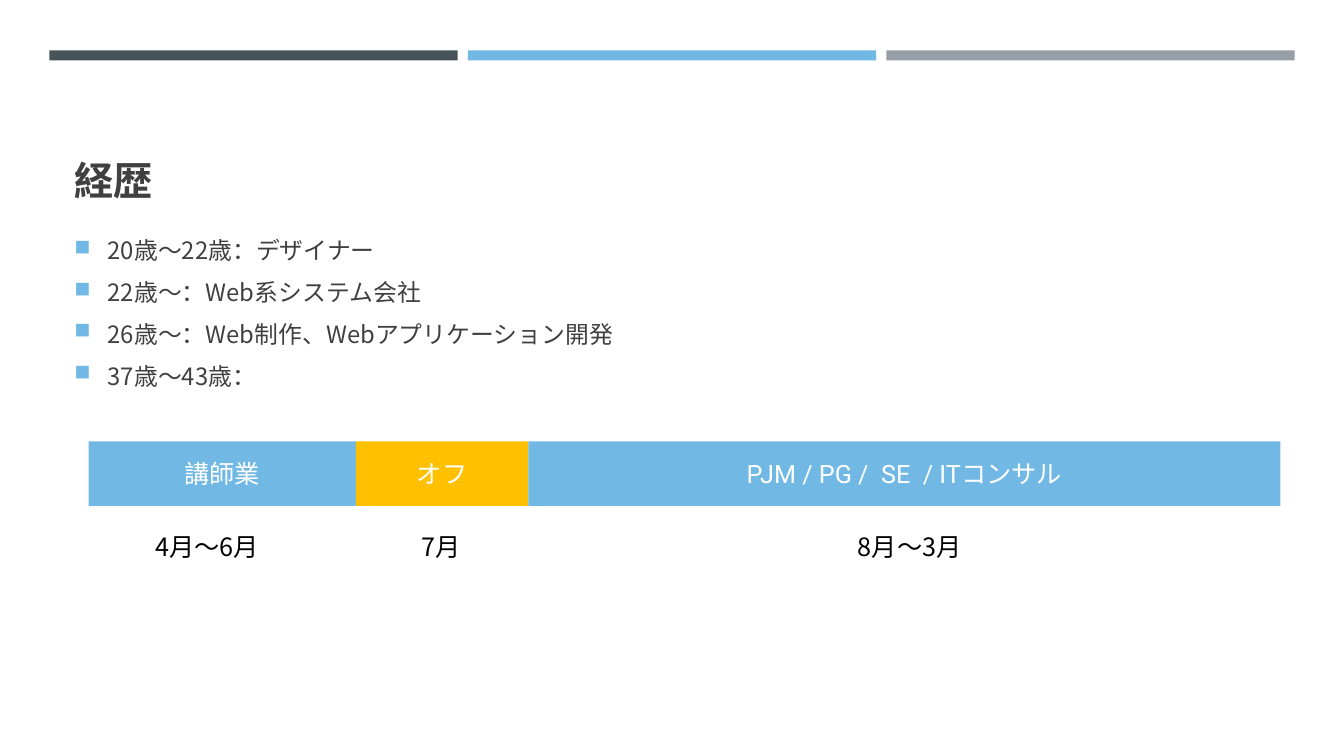
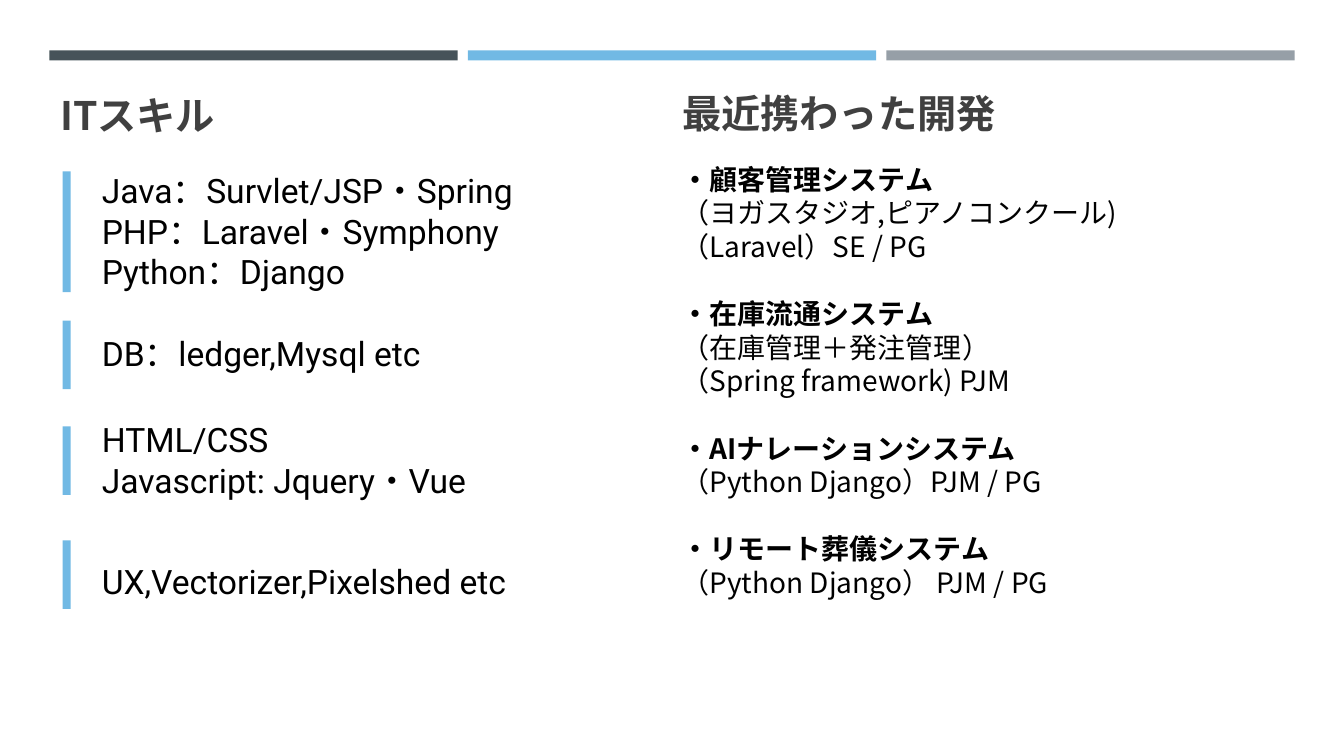
from dataclasses import dataclass

import lxml.etree
import pptx
import pptx.dml.color
import pptx.enum.shapes
import pptx.enum.text
import pptx.oxml.ns
import pptx.util

Inches = pptx.util.Inches
Pt = pptx.util.Pt
Anchor = pptx.enum.text.MSO_ANCHOR
Align = pptx.enum.text.PP_ALIGN
qn = pptx.oxml.ns.qn


@dataclass(frozen=True)
class Theme:
    dark: str = "465359"
    blue: str = "71B9E4"
    gray: str = "969FA7"
    amber: str = "FFC000"
    heading: str = "404040"
    black: str = "000000"
    white: str = "FFFFFF"
    japanese: str = "Noto Sans CJK JP"
    latin: str = "Roboto"
    title_size: int = 28
    skill_size: int = 24
    project_size: int = 20
    label_size: int = 18
    list_size: int = 17


THEME = Theme()

CAREER = [
    "20歳～22歳：デザイナー",
    "22歳～：Web系システム会社",
    "26歳～：Web制作、Webアプリケーション開発",
    "37歳～43歳：",
]

# work, width, colour, months, left of the months label
YEAR = [
    ("講師業", 2.65, THEME.blue, "4月～6月", 1.44),
    ("オフ", 1.71, THEME.amber, "7月", 4.08),
    ("PJM / PG /  SE  / ITコンサル", 7.46, THEME.blue, "8月～3月", 8.41),
]

# lines, text top, marker top, marker height
SKILLS = [
    (["Java：Survlet/JSP・Spring", "PHP：Laravel・Symphony", "Python：Django"],
     1.69, 1.7, 1.2),
    (["DB：ledger,Mysql etc"], 3.3, 3.18, 0.68),
    (["HTML/CSS", "Javascript: Jquery・Vue"], 4.16, 4.23, 0.68),
    (["UX,Vectorizer,Pixelshed etc"], 5.56, 5.36, 0.68),
]

PROJECTS = [
    ("・顧客管理システム",
     ["（ヨガスタジオ,ピアノコンクール)", "（Laravel）SE / PG"]),
    ("・在庫流通システム",
     ["（在庫管理＋発注管理）", "（Spring framework) PJM"]),
    ("・AIナレーションシステム", ["（Python Django）PJM / PG"]),
    ("・リモート葬儀システム", ["（Python Django） PJM / PG"]),
]


def rgb(color):
    return pptx.dml.color.RGBColor.from_string(color)


def add_span(para, text, size, color, font, bold=False):
    """Add a run; Japanese characters always use the Japanese font."""
    span = para.add_run()
    span.text = text
    span.font.size = Pt(size)
    span.font.bold = bold
    span.font.color.rgb = rgb(color)
    span.font.name = font
    east_asian = lxml.etree.Element(qn("a:ea"), typeface=THEME.japanese)
    span.font._element.find(qn("a:latin")).addnext(east_asian)


def add_bar(slide, left, top, width, height, color):
    bar = slide.shapes.add_shape(
        pptx.enum.shapes.MSO_SHAPE.RECTANGLE,
        Inches(left), Inches(top), Inches(width), Inches(height))
    bar.shadow.inherit = False
    bar.fill.solid()
    bar.fill.fore_color.rgb = rgb(color)
    bar.line.fill.background()
    return bar


def add_frame(slide, left, top, width, height, anchor=Anchor.TOP, inset=True):
    """Add a wrapping text box, with or without its usual margins."""
    box = slide.shapes.add_textbox(
        Inches(left), Inches(top), Inches(width), Inches(height))
    frame = box.text_frame
    frame.word_wrap = True
    frame.vertical_anchor = anchor
    if not inset:
        frame.margin_left = frame.margin_right = 0
        frame.margin_top = frame.margin_bottom = 0
    return frame


def next_para(frame):
    """Return the empty first paragraph, or a new one after it is filled."""
    first = frame.paragraphs[0]
    return frame.add_paragraph() if first.runs else first


def add_bullet(para):
    properties = para._p.get_or_add_pPr()
    properties.set("marL", str(Inches(0.33)))
    properties.set("indent", str(-Inches(0.33)))
    color = lxml.etree.SubElement(properties, qn("a:buClr"))
    lxml.etree.SubElement(color, qn("a:srgbClr"), val=THEME.blue)
    lxml.etree.SubElement(properties, qn("a:buSzPct"), val="92000")
    lxml.etree.SubElement(properties, qn("a:buChar"), char="■")


def add_title(slide, text, left, top, width, height):
    frame = add_frame(slide, left, top, width, height, Anchor.BOTTOM)
    add_span(frame.paragraphs[0], text, THEME.title_size, THEME.heading,
             THEME.japanese, bold=True)


def add_slide(deck):
    """Add a blank slide with the three header bands."""
    slide = deck.slides.add_slide(deck.slide_layouts[6])
    for index, color in enumerate((THEME.dark, THEME.blue, THEME.gray)):
        add_bar(slide, 0.49 + index * 4.15, 0.5, 4.05, 0.1, color)
    return slide


def add_career_list(slide):
    frame = add_frame(slide, 0.64, 2.24, 12.06, 1.73, Anchor.MIDDLE)
    for index, text in enumerate(CAREER):
        para = next_para(frame)
        add_bullet(para)
        para.space_before = Pt(3.4 if index else 0)
        para.space_after = Pt(6)
        add_span(para, text, THEME.list_size, THEME.heading, THEME.japanese)


def add_year(slide):
    left = 0.88
    for work, width, color, months, label_left in YEAR:
        bar = add_bar(slide, left, 4.38, width, 0.64, color)
        bar.text_frame.vertical_anchor = Anchor.MIDDLE
        para = bar.text_frame.paragraphs[0]
        para.alignment = Align.CENTER
        add_span(para, work, THEME.label_size, THEME.white, THEME.latin)
        label = add_frame(slide, label_left, 5.22, 1.68, 0.4)
        add_span(label.paragraphs[0], months, THEME.label_size, THEME.black,
                 THEME.japanese)
        left += width


def add_skills(slide):
    for lines, text_top, marker_top, marker_height in SKILLS:
        add_bar(slide, 0.62, marker_top, 0.08, marker_height, THEME.blue)
        frame = add_frame(slide, 1.01, text_top, 5.56, 0.4 * len(lines),
                          inset=False)
        for line in lines:
            add_span(next_para(frame), line, THEME.skill_size, THEME.black,
                     THEME.latin)


def add_projects(slide):
    frame = add_frame(slide, 6.76, 1.61, 5.56, 5.06, inset=False)
    for index, (name, details) in enumerate(PROJECTS):
        para = next_para(frame)
        if index:
            para.space_before = Pt(24)
        add_span(para, name, THEME.project_size, THEME.black, THEME.japanese,
                 bold=True)
        for detail in details:
            add_span(next_para(frame), detail, THEME.project_size,
                     THEME.black, THEME.japanese)


def main():
    deck = pptx.Presentation()
    deck.slide_width = Inches(13.33)
    deck.slide_height = Inches(7.5)

    career = add_slide(deck)
    add_title(career, "経歴", 0.64, 0.77, 12.06, 1.3)
    add_career_list(career)
    add_year(career)

    skills = add_slide(deck)
    add_title(skills, "ITスキル", 0.5, 0.85, 3.96, 0.57)
    add_title(skills, "最近携わった開発", 6.67, 0.83, 3.96, 0.57)
    add_skills(skills)
    add_projects(skills)

    deck.save("out.pptx")


if __name__ == "__main__":
    main()
